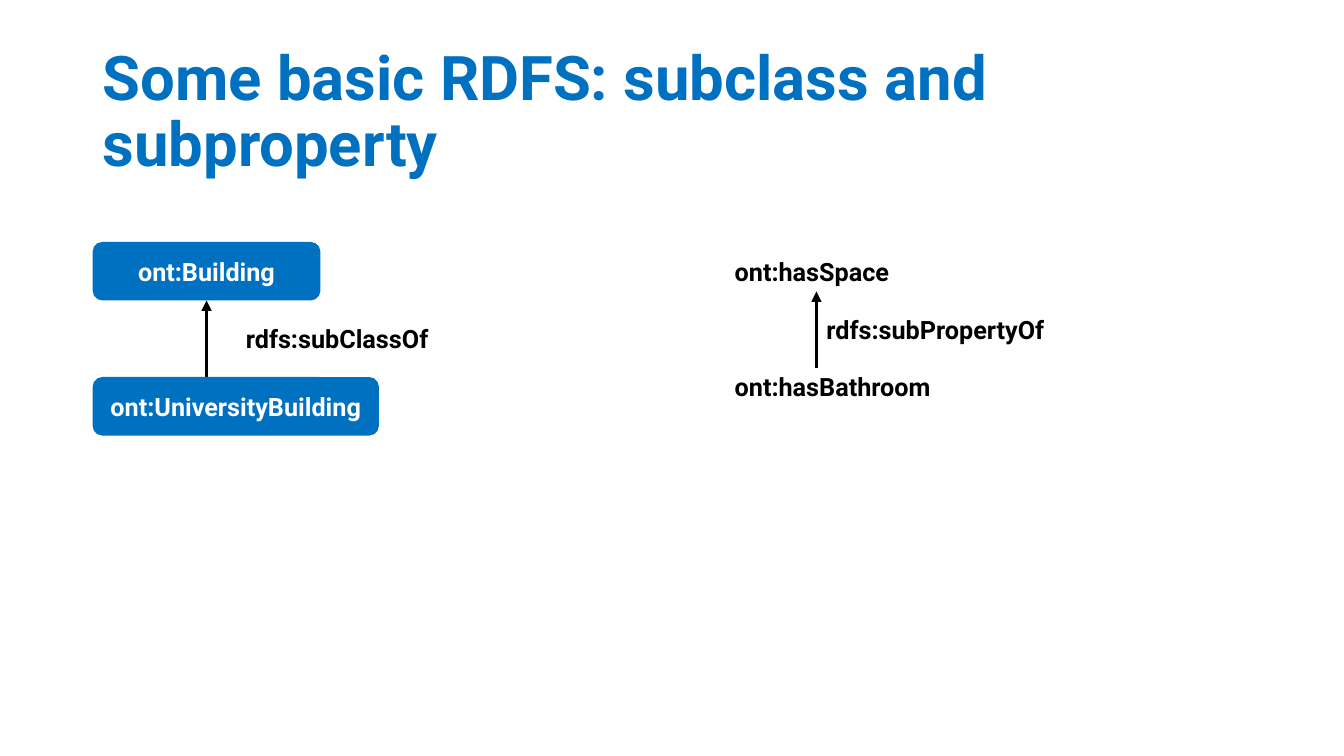
from lxml import etree
from pptx import Presentation
from pptx.dml.color import RGBColor
from pptx.enum.shapes import MSO_CONNECTOR, MSO_SHAPE
from pptx.enum.text import MSO_ANCHOR, PP_ALIGN
from pptx.oxml.ns import qn
from pptx.util import Pt

ROUNDED = MSO_SHAPE.ROUNDED_RECTANGLE
STRAIGHT = MSO_CONNECTOR.STRAIGHT
TOP, MIDDLE = MSO_ANCHOR.TOP, MSO_ANCHOR.MIDDLE
LEFT, CENTER = PP_ALIGN.LEFT, PP_ALIGN.CENTER

FONT = "Roboto"
BLUE, BLACK, WHITE = "0070C0", "000000", "FFFFFF"
MARGIN = 66.2
ARROW_LENGTH = 54.7
LABEL_HEIGHT = 29


def rgb(value):
    return RGBColor.from_string(value)


def set_text(sp, text, size, color, align=LEFT, anchor=TOP):
    tf = sp.text_frame
    tf.word_wrap = True
    tf.vertical_anchor = anchor
    p = tf.paragraphs[0]
    p.text = text
    p.alignment = align
    font = p.runs[0].font
    font.name, font.size, font.bold = FONT, Pt(size), True
    font.color.rgb = rgb(color)
    return p


def add_label(s, text, x, y, w):
    sp = s.shapes.add_textbox(Pt(x), Pt(y), Pt(w), Pt(LABEL_HEIGHT))
    set_text(sp, text, 18, BLACK)


def add_class(s, text, x, y, w, h):
    sp = s.shapes.add_shape(ROUNDED, Pt(x), Pt(y), Pt(w), Pt(h))
    sp.shadow.inherit = False
    sp.fill.solid()
    sp.fill.fore_color.rgb = rgb(BLUE)
    sp.line.fill.background()
    set_text(sp, text, 18, WHITE, CENTER, MIDDLE)


def add_up_arrow(s, x, tip):
    line = s.shapes.add_connector(STRAIGHT, Pt(x), Pt(tip + ARROW_LENGTH), Pt(x), Pt(tip))
    line.line.color.rgb = rgb(BLACK)
    line.line.width = Pt(2.5)
    etree.SubElement(line.line._get_or_add_ln(), qn("a:tailEnd"), type="triangle")
    etree.SubElement(line._element.spPr, qn("a:effectLst"))


def add_title(s, x, y, w, h):
    sp = s.shapes.add_textbox(Pt(x), Pt(y), Pt(w), Pt(h))
    p = set_text(sp, "Some basic RDFS: subclass and subproperty", 44, BLUE, anchor=MIDDLE)
    p.line_spacing = 0.9


def add_subclass_diagram(s, x, y):
    parent_width, child_width, height = 162.7, 204.5, 41.8
    middle = x + parent_width / 2
    arrow_tip = y + height
    add_class(s, "ont:Building", x, y, parent_width, height)
    add_label(s, "rdfs:subClassOf", middle + 21, arrow_tip + 13, 171.4)
    add_up_arrow(s, middle, arrow_tip)
    add_class(s, "ont:UniversityBuilding", x, arrow_tip + ARROW_LENGTH, child_width, height)


def add_subproperty_diagram(s, x, y):
    arrow_x = x + 65.5
    arrow_tip = y + LABEL_HEIGHT
    add_label(s, "ont:hasSpace", x, y, 171.4)
    add_label(s, "rdfs:subPropertyOf", arrow_x, arrow_tip + 13, 186.5)
    add_up_arrow(s, arrow_x, arrow_tip)
    add_label(s, "ont:hasBathroom", x, arrow_tip + ARROW_LENGTH - 1.4, 171.4)


def main():
    prs = Presentation()
    prs.slide_width, prs.slide_height = Pt(960), Pt(540)
    s = prs.slides.add_slide(prs.slide_layouts[6])

    # Heading
    add_title(s, MARGIN, 28.8, 882.7, 104.4)

    # Class hierarchy on the left, property hierarchy on the right
    add_subclass_diagram(s, MARGIN, 172.8)
    add_subproperty_diagram(s, 517.7, 179.2)

    prs.save("out.pptx")


if __name__ == "__main__":
    main()
